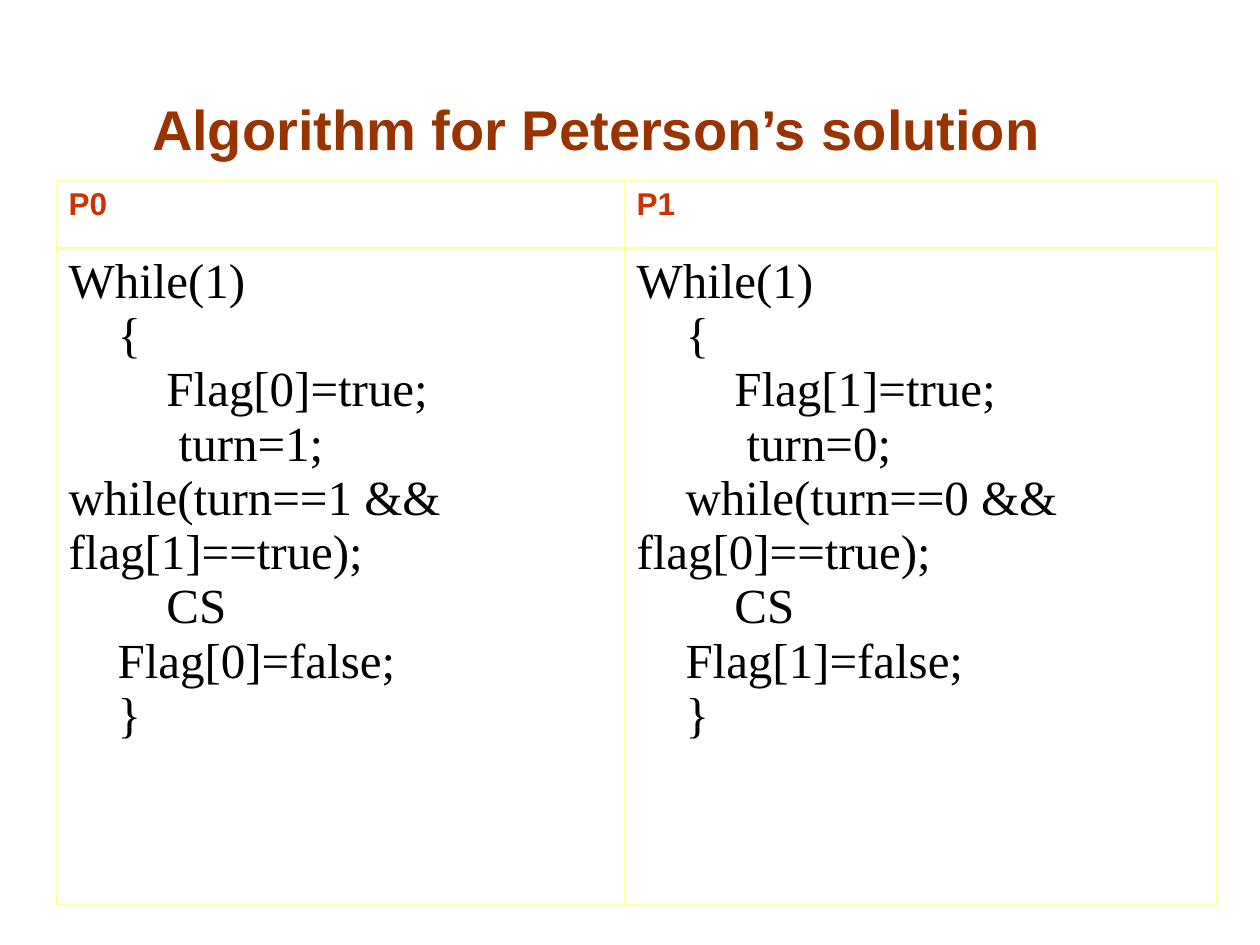
from lxml import etree
from pptx import Presentation
from pptx.dml.color import RGBColor
from pptx.enum.text import MSO_ANCHOR, PP_ALIGN
from pptx.oxml.ns import qn
from pptx.util import Cm, Pt

BOTTOM = MSO_ANCHOR.BOTTOM
CENTER = PP_ALIGN.CENTER

BROWN = RGBColor(0x99, 0x33, 0x00)
RED = RGBColor(0xCC, 0x33, 0x00)
BLACK = RGBColor(0x00, 0x00, 0x00)
PALE_YELLOW = RGBColor(0xFF, 0xFF, 0x99)

THIN = Pt(0.45)
THICK = Pt(1.47)
COLUMN_WIDTHS = (Cm(11.45), Cm(11.94))
ROW_HEIGHTS = (Cm(1.37), Cm(13.23))

PROCESSES = {
    "P0": [
        "While(1)",
        "    {",
        "        Flag[0]=true;",
        "         turn=1;",
        "while(turn==1 && flag[1]==true);",
        "        CS",
        "    Flag[0]=false;",
        "    }",
    ],
    "P1": [
        "While(1)",
        "    {",
        "        Flag[1]=true;",
        "         turn=0;",
        "    while(turn==0 && flag[0]==true);",
        "        CS",
        "    Flag[1]=false;",
        "    }",
    ],
}


def add_run(paragraph, text, size, font_name, color, bold):
    run = paragraph.add_run()
    run.text = text
    run.font.size = Pt(size)
    run.font.name = font_name
    run.font.color.rgb = color
    run.font.bold = bold


def write_lines(frame, lines, size, font_name, color, bold):
    for index, line in enumerate(lines):
        paragraph = frame.add_paragraph() if index else frame.paragraphs[0]
        add_run(paragraph, line, size, font_name, color, bold)


def add_title(slide, text):
    title = slide.shapes.add_textbox(Cm(2.74), Cm(1.68), Cm(18.57), Cm(1.7))
    frame = title.text_frame
    frame.word_wrap = True
    frame.vertical_anchor = BOTTOM
    write_lines(frame, [text], 32, "Arial", BROWN, True)
    frame.paragraphs[0].alignment = CENTER


def set_borders(cell, top, bottom):
    properties = cell._tc.get_or_add_tcPr()
    widths = {"a:lnL": THIN, "a:lnR": THIN, "a:lnT": top, "a:lnB": bottom}
    for tag, width in widths.items():
        border = etree.SubElement(properties, qn(tag), w=str(int(width)))
        fill = etree.SubElement(border, qn("a:solidFill"))
        etree.SubElement(fill, qn("a:srgbClr"), val=str(PALE_YELLOW))


def add_process_table(slide):
    table = slide.shapes.add_table(
        len(ROW_HEIGHTS), len(COLUMN_WIDTHS), Cm(1.13), Cm(3.64),
        sum(COLUMN_WIDTHS), sum(ROW_HEIGHTS),
    ).table
    table.first_row = False
    table.horz_banding = False
    for row, height in zip(table.rows, ROW_HEIGHTS):
        row.height = height
    for index, (process, code) in enumerate(PROCESSES.items()):
        table.columns[index].width = COLUMN_WIDTHS[index]
        header, body = table.cell(0, index), table.cell(1, index)
        set_borders(header, THIN, THICK)
        set_borders(body, THICK, THIN)
        for cell in (header, body):
            cell.fill.background()
        write_lines(header.text_frame, [process], 18, "Arial", RED, True)
        write_lines(body.text_frame, code, 28, "Times New Roman", BLACK, False)


def main():
    presentation = Presentation()
    presentation.slide_width = Cm(25.4)
    presentation.slide_height = Cm(19.05)
    slide = presentation.slides.add_slide(presentation.slide_layouts[6])
    add_title(slide, "Algorithm for Peterson’s solution")
    add_process_table(slide)
    presentation.save("out.pptx")


if __name__ == "__main__":
    main()
